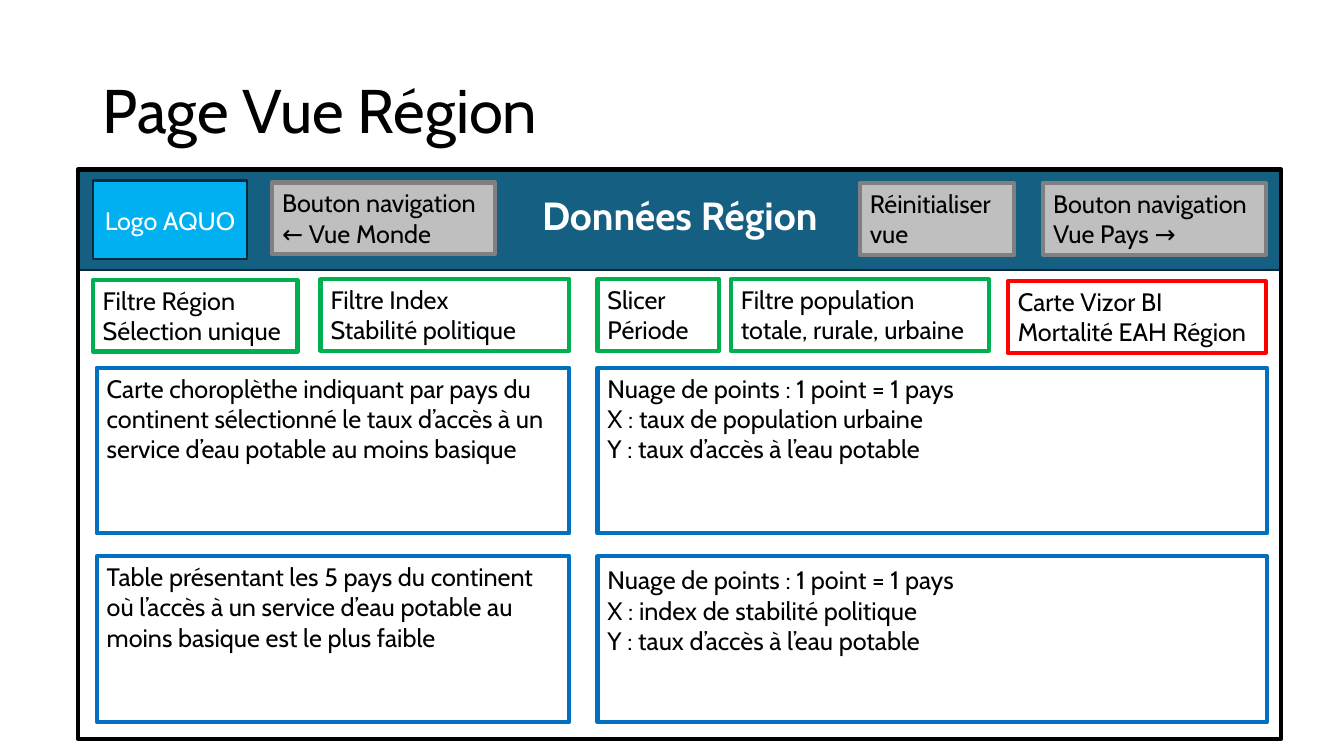
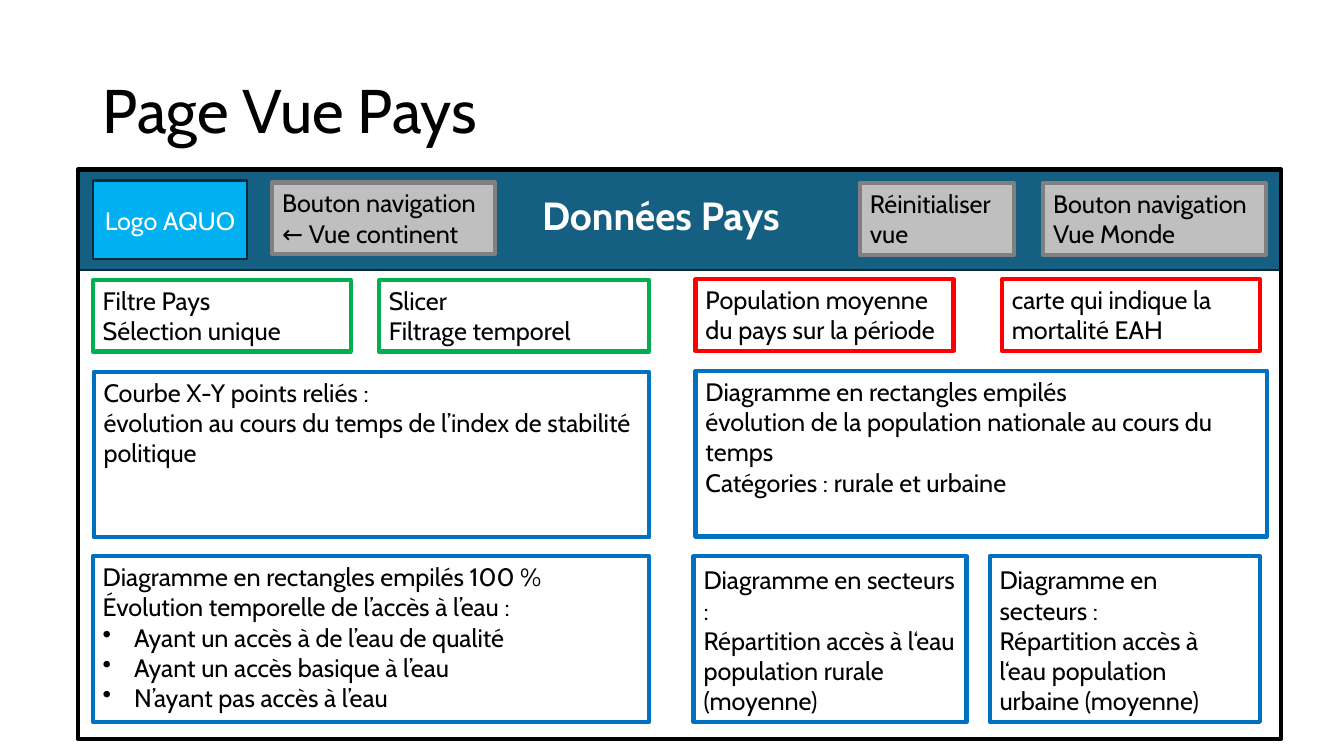
from dataclasses import dataclass

from lxml import etree
from pptx import Presentation
from pptx import util as u
from pptx.dml.color import RGBColor
from pptx.enum import shapes, text
from pptx.oxml import ns


@dataclass(frozen=True)
class Theme:
    font: str = "Cabin"
    ink: str = "000000"
    paper: str = "FFFFFF"
    band: str = "156082"
    band_edge: str = "092A39"
    logo: str = "00B0F0"
    button: str = "BFBFBF"
    button_edge: str = "808080"
    filter_edge: str = "00B050"
    card_edge: str = "FF0000"
    visual_edge: str = "0070C0"
    title_size: int = 44
    heading_size: int = 28
    body_size: int = 18
    thin: float = 1.5
    thick: float = 3


THEME = Theme()
FRAME_LEFT, FRAME_TOP, FRAME_WIDTH = 1.96, 4.27, 30.33
LEFT_MARGIN = 2.34
ROW_HEIGHT = 1.8
VISUAL_HEIGHT = 4.17
BOTTOM_ROW = 14.02


def assign(target, values):
    for name, value in values.items():
        setattr(target, name, value)


class Mockup:
    def __init__(self, theme):
        self.theme = theme
        self.deck = Presentation()
        assign(self.deck, {"slide_width": u.Cm(33.87), "slide_height": u.Cm(19.05)})
        self.slide = None

    def fill_text(self, shape, lines, size=None, color=None, bold=False, bullets=(),
                  align=text.PP_ALIGN.LEFT, anchor=text.MSO_ANCHOR.TOP, drop=0, spacing=None):
        frame = shape.text_frame
        assign(frame, {"word_wrap": True, "vertical_anchor": anchor,
                       "margin_top": u.Cm(0.13 + drop)})
        font = {"name": self.theme.font, "size": u.Pt(size or self.theme.body_size),
                "bold": bold}
        for index, line in enumerate([*lines, *bullets]):
            paragraph = frame.add_paragraph() if index else frame.paragraphs[0]
            assign(paragraph, {"text": line, "alignment": align, "line_spacing": spacing})
            for run in paragraph.runs:
                assign(run.font, font)
                run.font.color.rgb = RGBColor.from_string(color or self.theme.ink)
            if index >= len(lines):
                self.bullet(paragraph)

    def bullet(self, paragraph):
        properties = paragraph._p.get_or_add_pPr()
        indent = u.Cm(0.79)
        properties.set("marL", str(indent))
        properties.set("indent", str(-indent))
        etree.SubElement(properties, ns.qn("a:buChar")).set("char", "•")

    def label(self, left, top, width, height, line, **style):
        box = self.slide.shapes.add_textbox(*map(u.Cm, (left, top, width, height)))
        self.fill_text(box, [line], **style)

    def box(self, left, top, width, height, edge, weight=None, fill=None, lines=(), **style):
        shape = self.slide.shapes.add_shape(
            shapes.MSO_SHAPE.RECTANGLE, *map(u.Cm, (left, top, width, height)))
        shape.shadow.inherit = False
        if fill:
            shape.fill.solid()
            shape.fill.fore_color.rgb = RGBColor.from_string(fill)
        else:
            shape.fill.background()
        shape.line.color.rgb = RGBColor.from_string(edge)
        shape.line.width = u.Pt(weight or self.theme.thick)
        if lines:
            self.fill_text(shape, lines, **style)

    def page(self, title, heading, back, forward):
        t = self.theme
        self.slide = self.deck.slides.add_slide(self.deck.slide_layouts[6])
        self.box(FRAME_LEFT, FRAME_TOP, FRAME_WIDTH, 2.54, t.band_edge, t.thin, t.band)
        self.box(FRAME_LEFT, FRAME_TOP, FRAME_WIDTH, 14.35, t.ink)
        self.label(LEFT_MARGIN, 1.02, 29.21, 3.68, title, size=t.title_size,
                   anchor=text.MSO_ANCHOR.MIDDLE, spacing=0.9)
        self.box(LEFT_MARGIN, 4.55, 3.89, 1.98, t.band_edge, t.thin, t.logo, ["Logo AQUO"],
                 color=t.paper, align=text.PP_ALIGN.CENTER, anchor=text.MSO_ANCHOR.MIDDLE)
        self.label(13.41, 4.7, 8, 1.45, heading, size=t.heading_size, color=t.paper, bold=True)
        self.button(6.86, 4.6, 5.61, "Bouton navigation", back)
        self.button(21.67, 4.62, 3.89, "Réinitialiser\vvue")
        self.button(26.29, 4.62, 5.61, "Bouton navigation", forward)

    def button(self, left, top, width, *lines):
        self.box(left, top, width, ROW_HEIGHT, self.theme.button_edge,
                 fill=self.theme.button, lines=lines)

    def filter(self, left, top, width, *lines):
        self.box(left, top, width, ROW_HEIGHT, self.theme.filter_edge, lines=lines)

    def card(self, left, top, width, *lines):
        self.box(left, top, width, ROW_HEIGHT, self.theme.card_edge, lines=lines)

    def visual(self, left, top, width, *lines, **style):
        self.box(left, top, width, VISUAL_HEIGHT, self.theme.visual_edge, lines=lines, **style)


def region_page(mockup):
    mockup.page("Page Vue Région", "Données Région", "← Vue Monde", "Vue Pays →")
    mockup.filter(LEFT_MARGIN, 7.06, 5.16, "Filtre Région", "Sélection unique")
    mockup.filter(8.08, 7.04, 6.27, "Filtre Index", "Stabilité politique")
    mockup.filter(15.06, 7.04, 3.07, "Slicer", "Période")
    mockup.filter(18.42, 7.04, 6.5, "Filtre population totale, rurale, urbaine")
    mockup.card(25.4, 7.09, 6.5, "Carte Vizor BI", "Mortalité EAH Région")

    map_left, map_width = 2.44, 11.91
    cloud_left, cloud_width = 15.06, 16.87
    top_row = 9.27
    cloud_title = "Nuage de points : 1 point = 1 pays"
    water_axis = "Y : taux d’accès à l’eau potable"
    mockup.visual(map_left, top_row, map_width,
                  "Carte choroplèthe indiquant par pays du continent sélectionné le taux "
                  "d’accès à un service d’eau potable au moins basique")
    mockup.visual(map_left, BOTTOM_ROW, map_width,
                  "Table présentant les 5 pays du continent où l’accès à un service d’eau "
                  "potable au moins basique est le plus faible")
    mockup.visual(cloud_left, top_row, cloud_width,
                  cloud_title, "X : taux de population urbaine", water_axis)
    mockup.visual(cloud_left, BOTTOM_ROW, cloud_width,
                  cloud_title, "X : index de stabilité politique", water_axis, drop=0.08)


def country_page(mockup):
    mockup.page("Page Vue Pays", "Données Pays", "← Vue continent", "Vue Monde")
    mockup.filter(LEFT_MARGIN, 7.06, 6.5, "Filtre Pays", "Sélection unique")
    mockup.filter(9.55, 7.06, 6.81, "Slicer", "Filtrage temporel")
    mockup.card(17.53, 7.04, 6.5, "Population moyenne du pays sur la période")
    mockup.card(25.25, 7.04, 6.5, "carte qui indique la mortalité EAH")

    mockup.visual(2.36, 9.37, 14, "Courbe X-Y points reliés :",
                  "évolution au cours du temps de l’index de stabilité politique")
    mockup.visual(17.53, 9.35, 14.4, "Diagramme en rectangles empilés",
                  "évolution de la population nationale au cours du temps",
                  "Catégories : rurale et urbaine")
    mockup.visual(LEFT_MARGIN, BOTTOM_ROW, 14.02, "Diagramme en rectangles empilés 100 %",
                  "Évolution temporelle de l’accès à l’eau :",
                  bullets=("Ayant un accès à de l’eau de qualité",
                           "Ayant un accès basique à l’eau",
                           "N’ayant pas accès à l’eau"))
    for left, width, area in ((17.48, 6.88, "rurale"), (24.94, 6.81, "urbaine")):
        mockup.visual(left, BOTTOM_ROW, width, "Diagramme en secteurs :",
                      f"Répartition accès à l‘eau population {area} (moyenne)", drop=0.08)


def main():
    mockup = Mockup(THEME)
    region_page(mockup)
    country_page(mockup)
    mockup.deck.save("out.pptx")


if __name__ == "__main__":
    main()
